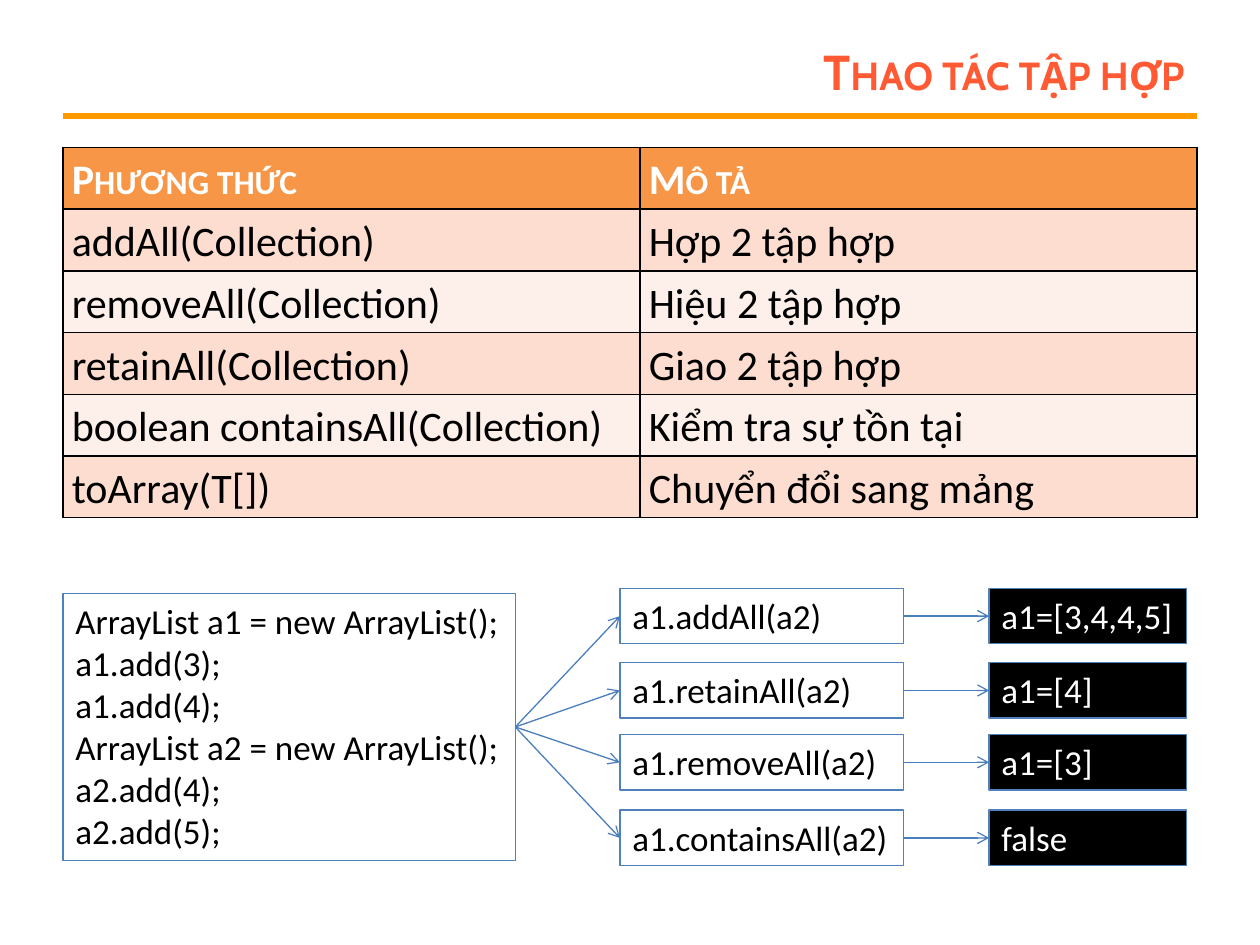
import pptx
import pptx.dml.color
import pptx.enum.shapes
import pptx.enum.text
import pptx.oxml.ns
import pptx.util
from lxml import etree
from pptx.util import Inches

ALIGN = pptx.enum.text.PP_ALIGN
ANCHOR = pptx.enum.text.MSO_ANCHOR
AUTO_SIZE = pptx.enum.text.MSO_AUTO_SIZE
RECTANGLE = pptx.enum.shapes.MSO_SHAPE.RECTANGLE
STRAIGHT = pptx.enum.shapes.MSO_CONNECTOR.STRAIGHT
LEFT_SITE, RIGHT_SITE = 1, 3  # connection sites of a rectangle


def color(value):
    return pptx.dml.color.RGBColor.from_string(value)


def add_element(parent, tag, **attributes):
    return etree.SubElement(parent, pptx.oxml.ns.qn(tag), attributes)


def write_text(frame, text, size=20, font="Calibri", ink="000000", bold=False,
               small_caps=False, align=ALIGN.LEFT, line_spacing=None, gap=None):
    for index, line in enumerate(text.split("\n")):
        para = frame.add_paragraph() if index else frame.paragraphs[0]
        para.alignment = align
        if line_spacing:
            para.line_spacing = line_spacing
        if gap is not None:
            para.space_before = para.space_after = pptx.util.Pt(gap)
        span = para.add_run()
        span.text = line
        span.font.size = pptx.util.Pt(size)
        span.font.name = font
        span.font.bold = bold
        span.font.color.rgb = color(ink)
        if small_caps:
            span.font._element.set("cap", "small")


class Painter:
    title_ink = "FF5A33"
    rule_line = "FF9900"
    box_line = "4F81BD"
    arrow_line = "4B7EBC"
    header_fill = "F79646"
    band_fills = ("FDEFE9", "FCDDCF")

    def __init__(self, page):
        self.page = page

    def title(self, text, left, top, width, height):
        box = self.page.shapes.add_textbox(
            Inches(left), Inches(top), Inches(width), Inches(height))
        box.text_frame.word_wrap = True
        box.text_frame.vertical_anchor = ANCHOR.MIDDLE
        write_text(box.text_frame, text, size=28, font="Cabin", ink=self.title_ink,
                   bold=True, small_caps=True, align=ALIGN.RIGHT)

    def line(self, start, end, ink, weight):
        points = [Inches(value) for value in (*start, *end)]
        line = self.page.shapes.add_connector(STRAIGHT, *points)
        line.line.color.rgb = color(ink)
        line.line.width = pptx.util.Pt(weight)
        add_element(line._element.spPr, "a:effectLst")
        return line

    def arrow(self, source, target):
        arrow = self.line((0, 0), (1, 1), self.arrow_line, 0.75)
        arrow.begin_connect(source, RIGHT_SITE)
        arrow.end_connect(target, LEFT_SITE)
        add_element(arrow.line._get_or_add_ln(), "a:tailEnd", type="arrow")

    def box(self, text, left, top, width, height, fill=None, ink="000000", wrap=True):
        box = self.page.shapes.add_shape(
            RECTANGLE, Inches(left), Inches(top), Inches(width), Inches(height))
        box.shadow.inherit = False
        if fill:
            box.fill.solid()
            box.fill.fore_color.rgb = color(fill)
        else:
            box.fill.background()
        box.line.color.rgb = color(self.box_line)
        box.line.width = pptx.util.Pt(0.75)
        frame = box.text_frame
        frame.word_wrap = wrap
        frame.auto_size = AUTO_SIZE.SHAPE_TO_FIT_TEXT
        frame.vertical_anchor = ANCHOR.TOP
        write_text(frame, text, ink=ink)
        return box

    def cell(self, cell, text, fill, **text_format):
        cell.margin_left = cell.margin_right = Inches(0.07)
        cell.margin_top = cell.margin_bottom = 0
        write_text(cell.text_frame, text, size=24, align=ALIGN.JUSTIFY,
                   line_spacing=1.15, gap=6, **text_format)
        # Borders come before the fill in the cell properties
        properties = cell._tc.get_or_add_tcPr()
        for side in ("a:lnL", "a:lnR", "a:lnT", "a:lnB"):
            border = add_element(properties, side, w=str(pptx.util.Pt(1)))
            paint = add_element(border, "a:solidFill")
            add_element(paint, "a:srgbClr", val="000000")
        cell.fill.solid()
        cell.fill.fore_color.rgb = color(fill)

    def table(self, rows, left, top, widths, row_height):
        table = self.page.shapes.add_table(
            len(rows), len(widths), Inches(left), Inches(top),
            Inches(sum(widths)), Inches(row_height * len(rows))).table
        for column, width in zip(table.columns, widths):
            column.width = Inches(width)
        for index, texts in enumerate(rows):
            table.rows[index].height = Inches(row_height)
            header = index == 0
            fill = self.header_fill if header else self.band_fills[index % 2]
            for column, text in enumerate(texts):
                self.cell(table.cell(index, column), text, fill, bold=header,
                          small_caps=header, ink="FFFFFF" if header else "000000")


METHODS = [
    ("Phương thức", "Mô tả"),
    ("addAll(Collection)", "Hợp 2 tập hợp"),
    ("removeAll(Collection)", "Hiệu 2 tập hợp"),
    ("retainAll(Collection)", "Giao 2 tập hợp"),
    ("boolean containsAll(Collection)", "Kiểm tra sự tồn tại"),
    ("toArray(T[])", "Chuyển đổi sang mảng"),
]
CODE = """ArrayList a1 = new ArrayList();
a1.add(3);
a1.add(4);
ArrayList a2 = new ArrayList();
a2.add(4);
a2.add(5);"""
CALLS = ["a1.addAll(a2)", "a1.retainAll(a2)", "a1.removeAll(a2)", "a1.containsAll(a2)"]
RESULTS = ["a1=[3,4,4,5]", "a1=[4]", "a1=[3]", "false"]
BOX_TOPS = [4.67, 5.26, 5.83, 6.43]


def main():
    deck = pptx.Presentation()
    deck.slide_width, deck.slide_height = Inches(10), Inches(7.5)
    painter = Painter(deck.slides.add_slide(deck.slide_layouts[6]))

    # Heading
    painter.line((0.5, 0.92), (9.5, 0.92), painter.rule_line, 3)
    painter.title("Thao tác tập hợp", 2.25, 0.3, 7.25, 0.53)

    # Method table
    painter.table(METHODS, 0.5, 1.17, (4.58, 4.42), 0.49)

    # Code, calls and their results; the longest text of a column sets its width
    code = painter.box(CODE, 0.5, 4.71, 3.59, 2.12, wrap=False)
    longest = [max(column, key=len) for column in (CALLS, RESULTS)]
    for call, result, top in zip(CALLS, RESULTS, BOX_TOPS):
        call_box = painter.box(call, 4.92, top, 2.25, 0.44, wrap=call not in longest)
        result_box = painter.box(result, 7.85, top, 1.57, 0.44, fill="000000",
                                 ink="FFFFFF", wrap=result not in longest)
        painter.arrow(code, call_box)
        painter.arrow(call_box, result_box)

    deck.save("out.pptx")


if __name__ == "__main__":
    main()
